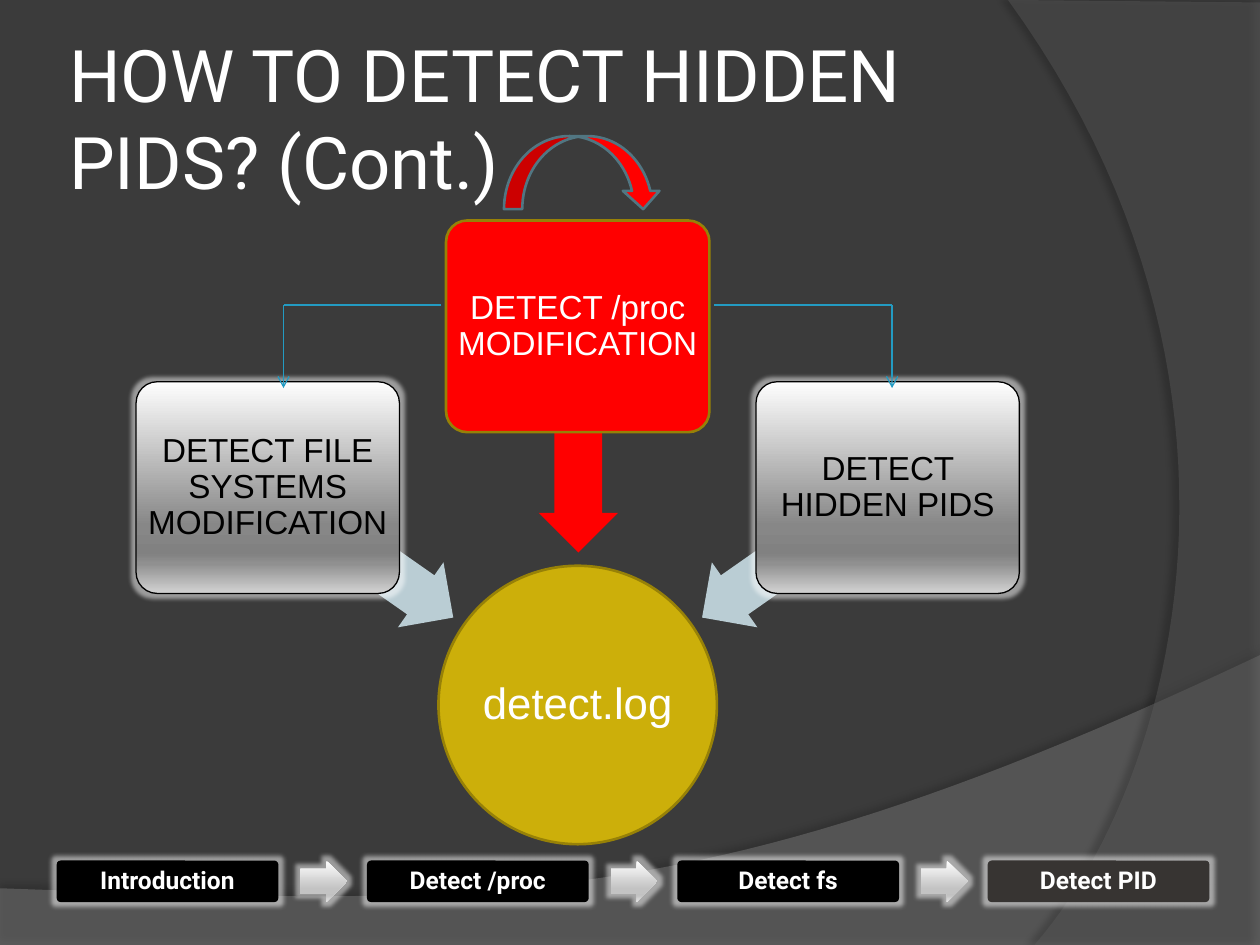
from dataclasses import dataclass
from typing import NamedTuple

from lxml.etree import SubElement
from pptx import Presentation
from pptx.dml.color import RGBColor
from pptx.enum.shapes import MSO_CONNECTOR as Connector, MSO_SHAPE as Shape
from pptx.enum.text import MSO_ANCHOR as Anchor, PP_ALIGN as Align
from pptx.oxml.ns import qn
from pptx.util import Inches, Pt

COLUMNS, ROWS = 100, 75
SLIDE_WIDTH, SLIDE_HEIGHT = Inches(10), Inches(7.5)
COLORS = {
    "background": "3B3B3B", "wave": "7F7F7F", "arc": "5E5E5E",
    "white": "FFFFFF", "black": "000000", "current": "373432",
    "red": "FF0000", "gold": "CCAF0A", "gold_edge": "978107",
    "pale_blue": "BACDD4", "loop_edge": "517682", "link": "239BC2",
}
SILVER = [(0, "FEFEFE"), (68, "C3C3C3"), (81, "C1C1C1"), (86, "C6C6C6"), (100, "E6E6E6")]
STEEL = [(0, "FEFEFE"), (68, "878787"), (81, "818181"), (86, "909090"), (100, "D3D3D3")]


class Area(NamedTuple):
    """Left, top, width and height in grid columns and rows."""
    left: float
    top: float
    width: float
    height: float


class Label(NamedTuple):
    text: str
    size: float
    font: str = "Arial"
    color: str = "white"
    bold: bool = False
    inset: float = 0.03


@dataclass
class Check:
    text: str
    left: float
    top: float
    arrow: Area
    rotation: float
    highlighted: bool = False


def across(columns: float) -> int:
    return round(SLIDE_WIDTH * columns / COLUMNS)


def down(rows: float) -> int:
    return round(SLIDE_HEIGHT * rows / ROWS)


def rgb(name: str) -> RGBColor:
    return RGBColor.from_string(COLORS[name])


def add_color(parent, name: str, opacity: int):
    color = SubElement(parent, qn("a:srgbClr"), val=COLORS[name])
    SubElement(color, qn("a:alpha"), val=str(opacity * 1000))


def add_effect(shape, tag: str, color: str, opacity: int, **attributes: str):
    effects = shape._element.spPr.find(qn("a:effectLst"))
    add_color(SubElement(effects, qn(tag), **attributes), color, opacity)


def place(shape, area: Area):
    shape.left, shape.top = across(area.left), down(area.top)
    shape.width, shape.height = across(area.width), down(area.height)


def fill_gradient(shape, stops: list):
    shape.fill.gradient()
    shape.fill.gradient_angle = 270
    stop_list = shape._element.spPr.find(".//" + qn("a:gsLst"))
    stop_list.clear()
    for position, color in stops:
        stop = SubElement(stop_list, qn("a:gs"), pos=str(position * 1000))
        SubElement(stop, qn("a:srgbClr"), val=color)


def write(shape, label: Label):
    frame = shape.text_frame
    frame.word_wrap = True
    frame.vertical_anchor = Anchor.MIDDLE
    frame.margin_left = frame.margin_right = Inches(label.inset)
    frame.margin_top = frame.margin_bottom = Inches(label.inset)
    paragraph = frame.paragraphs[0]
    paragraph.text = label.text
    paragraph.alignment = Align.CENTER
    paragraph.line_spacing = 0.9
    paragraph.font.name, paragraph.font.size = label.font, Pt(label.size)
    paragraph.font.bold = label.bold
    paragraph.font.color.rgb = rgb(label.color)


def add_figure(slide, kind, area: Area, fill, edge: str = "", edge_width: float = 1.5,
               adjust: tuple = (), label: Label = None, glow: bool = False):
    """Draw a preset shape; fill is a colour name or a list of gradient stops."""
    shape = slide.shapes.add_shape(kind, 0, 0, 0, 0)
    place(shape, area)
    shape.shadow.inherit = False
    for index, value in enumerate(adjust):
        shape.adjustments[index] = value
    if isinstance(fill, str):
        shape.fill.solid()
        shape.fill.fore_color.rgb = rgb(fill)
    else:
        fill_gradient(shape, fill)
    if edge:
        shape.line.color.rgb = rgb(edge)
        shape.line.width = Pt(edge_width)
    else:
        shape.line.fill.background()
    if label:
        write(shape, label)
    if glow:
        add_effect(shape, "a:glow", "white", 50, rad=str(Pt(5)))
    return shape


def curve(points: list, segments: int = 48) -> list:
    """Sample a cubic Bezier curve given by its four points."""
    samples = []
    for step in range(segments + 1):
        t = step / segments
        weights = ((1 - t) ** 3, 3 * t * (1 - t) ** 2, 3 * t * t * (1 - t), t ** 3)
        samples.append(tuple(sum(w * p[axis] for w, p in zip(weights, points))
                             for axis in (0, 1)))
    return samples


def add_backdrop(slide, outline: list, color: str, opacity: int,
                 shadow_opacity: int, distance: float, direction: int):
    vertices = [(across(x), down(y)) for x, y in outline]
    builder = slide.shapes.build_freeform(*vertices[0])
    builder.add_line_segments(vertices[1:], close=True)
    shape = builder.convert_to_shape()
    shape.shadow.inherit = False
    shape.line.fill.background()
    shape.fill.solid()
    shape.fill.fore_color.rgb = rgb(color)
    fill_color = shape._element.spPr.find(qn("a:solidFill"))[0]
    SubElement(fill_color, qn("a:alpha"), val=str(opacity * 1000))
    add_effect(shape, "a:outerShdw", "black", shadow_opacity, blurRad=str(Pt(4)),
               dist=str(Pt(distance)), dir=str(direction * 60000))


def add_link(slide, start: tuple, end: tuple, arrow: bool = False):
    link = slide.shapes.add_connector(Connector.STRAIGHT, across(start[0]), down(start[1]),
                                      across(end[0]), down(end[1]))
    link.line.color.rgb = rgb("link")
    link.line.width = Pt(0.75)
    properties = link._element.spPr
    if arrow:
        SubElement(properties.find(qn("a:ln")), qn("a:tailEnd"), type="arrow")
    SubElement(properties, qn("a:effectLst"))


def add_title(slide, text: str):
    title = slide.shapes.title
    place(title, Area(5, 3, 81.7, 12.5))
    write(title, Label(text, 41.4, "Roboto", inset=0.05))
    title.text_frame.paragraphs[0].alignment = Align.LEFT
    title.text_frame.paragraphs[0].line_spacing = 1.0


def add_steps(slide, names: list):
    pitch, top, height = 24.63, 68.3, 3.3
    for index, name in enumerate(names):
        left = 4.5 + index * pitch
        last = index == len(names) - 1
        add_figure(slide, Shape.ROUNDED_RECTANGLE, Area(left, top, 17.6, height),
                   "current" if last else "black", adjust=(0.1,), glow=True,
                   label=Label(name, 14, "Roboto", bold=True, inset=0.06))
        if not last:
            add_figure(slide, Shape.RIGHT_ARROW, Area(left + 19.35, top, 3.7, height),
                       SILVER, adjust=(0.6, 0.5), glow=True)


def add_check(slide, check: Check):
    red = check.highlighted
    arrow = add_figure(slide, Shape.LEFT_ARROW, check.arrow,
                       "red" if red else "pale_blue", adjust=(0.6, 0.5))
    arrow.rotation = check.rotation
    add_figure(slide, Shape.ROUNDED_RECTANGLE, Area(check.left, check.top, 20.9, 16.8),
               "red" if red else STEEL, edge="gold_edge" if red else "black",
               edge_width=1.5 if red else 0.75, adjust=(0.1,), glow=not red,
               label=Label(check.text, 19, color="white" if red else "black"))


def main():
    deck = Presentation()
    deck.slide_width, deck.slide_height = SLIDE_WIDTH, SLIDE_HEIGHT
    slide = deck.slides.add_slide(deck.slide_layouts[5])
    slide.background.fill.solid()
    slide.background.fill.fore_color.rgb = rgb("background")

    wave = curve([(100, 52), (55.9, 72.9), (39.1, 71.9), (0, 70.5)])
    add_backdrop(slide, [(0, 75), (100, 75)] + wave, "wave", 45, 35, 3.5, 270)
    arc = curve([(82.1, 75), (93.5, 61.9), (101.8, 30), (80, 0)])
    add_backdrop(slide, [(100, 0.2), (100, 75)] + arc, "arc", 40, 45, 4, 180)

    add_title(slide, "HOW TO DETECT HIDDEN PIDS? (Cont.)")
    add_steps(slide, ["Introduction", "Detect /proc", "Detect fs", "Detect PID"])
    add_figure(slide, Shape.OVAL, Area(34.8, 44.9, 22.1, 22.1), "gold", edge="gold_edge",
               label=Label("detect.log", 25, inset=0.02))
    for check in (
        Check("DETECT FILE SYSTEMS MODIFICATION", 10.8, 30.3, Area(19.6, 40.7, 18, 6.3), 215),
        Check("DETECT /proc MODIFICATION", 35.4, 17.5, Area(36.9, 31.7, 18, 6.3), 270, True),
        Check("DETECT HIDDEN PIDS", 60, 30.3, Area(54.1, 40.7, 18, 6.3), 325),
    ):
        add_check(slide, check)

    add_figure(slide, Shape.CURVED_DOWN_ARROW, Area(40, 10.8, 12.5, 5.8), "red",
               edge="loop_edge")
    for inner, outer in ((35, 22.5), (56.7, 70.8)):
        add_link(slide, (inner, 24.2), (outer, 24.2))
        add_link(slide, (outer, 24.2), (outer, 30.8), arrow=True)

    deck.save("out.pptx")


if __name__ == "__main__":
    main()
